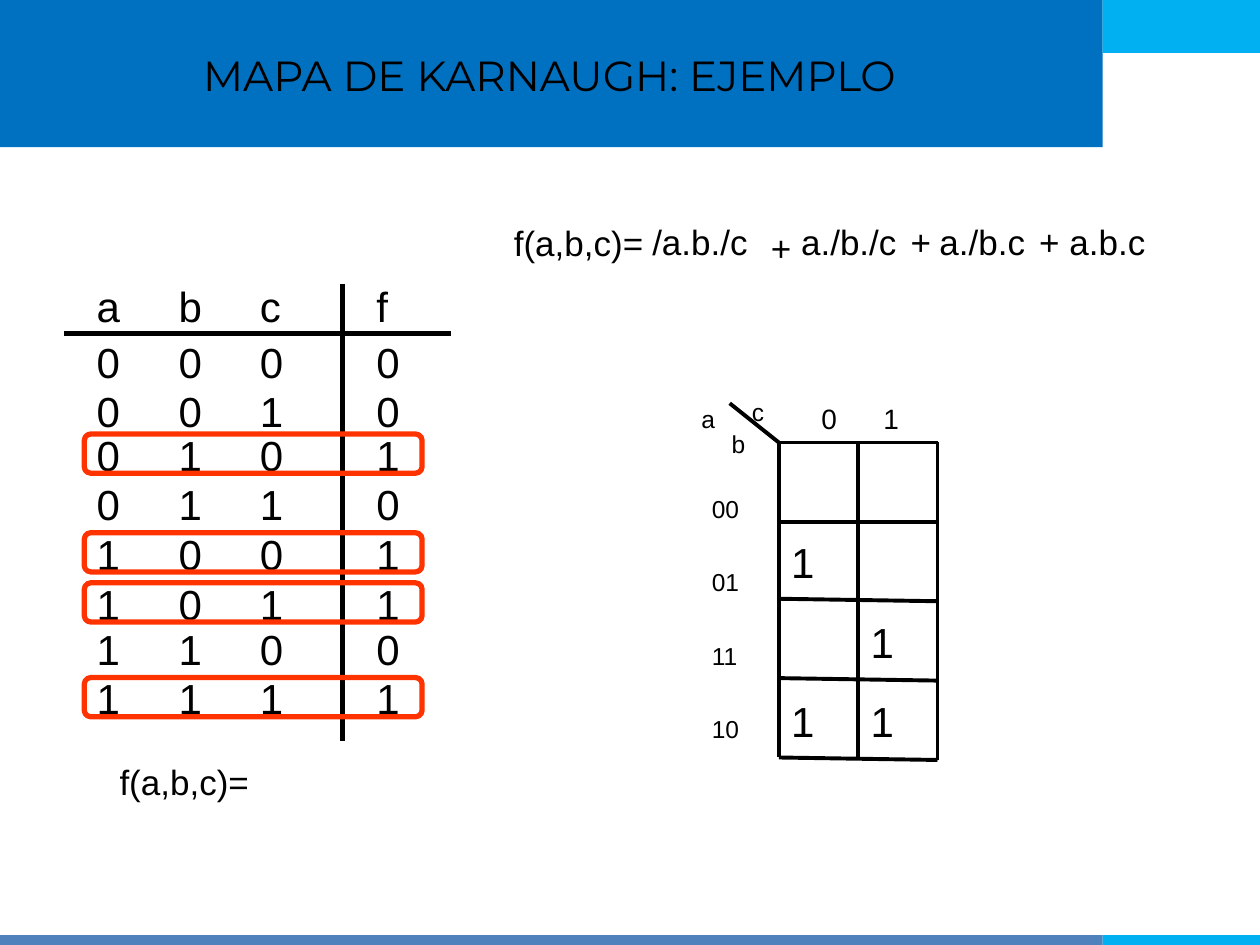
from dataclasses import dataclass

from lxml.etree import SubElement
from pptx import Presentation
from pptx.dml.color import RGBColor
from pptx.enum.shapes import MSO_CONNECTOR, MSO_SHAPE
from pptx.enum.text import MSO_ANCHOR, MSO_AUTO_SIZE, PP_ALIGN
from pptx.oxml.ns import qn
from pptx.util import Cm, Pt


@dataclass(frozen=True)
class Theme:
    text: str = "000000"
    line: str = "000000"
    frame: str = "FF3300"
    blue: str = "0070C0"
    cyan: str = "00B0F0"
    steel: str = "4F81BD"
    body_font: str = "Arial"
    title_font: str = "Montserrat"
    large: int = 24
    medium: int = 20
    heading: int = 16
    small: int = 14
    thick: float = 3
    thin: float = 2.25


THEME = Theme()

TITLE = "MAPA DE KARNAUGH: EJEMPLO"
BANDS = [
    (0, 0, 22.23, 2.97, THEME.blue),
    (22.23, 0, 3.17, 1.07, THEME.cyan),
    (0, 18.85, 22.23, 0.2, THEME.steel),
    (22.23, 18.85, 3.17, 0.2, THEME.cyan),
]
TRUTH_ROWS = [
    (5.54, "abcf"),
    (6.65, "0000"),
    (7.65, "0010"),
    (8.53, "0101"),
    (9.53, "0110"),
    (10.52, "1001"),
    (11.53, "1011"),
    (12.45, "1100"),
    (13.44, "1111"),
]
TRUTH_LEFT = 1.7
TRUTH_TABS = [1.65, 3.29, 5.64]
TRUTH_AXES = [(1.3, 6.73, 9.09, 6.73), (6.91, 5.72, 6.91, 14.94)]
FORMULAS = [
    ("f(a,b,c)=", 10.11, 4.34, 3.81),
    ("/a.b./c", 12.9, 4.32, 2.59),
    ("+", 15.29, 4.45, 0.99),
    ("a./b./c", 15.9, 4.32, 2.59),
    ("+", 18.11, 4.32, 0.99),
    ("a./b.c", 18.69, 4.32, 2.39),
    ("+", 20.7, 4.32, 0.99),
    ("a.b.c", 21.31, 4.32, 2.21),
    ("f(a,b,c)=", 2.16, 15.21, 3.81),
]
MAP_LEFT, MAP_TOP, MAP_CELL = 15.7, 8.92, 1.6
MAP_COLUMNS = ["0", "1"]
MAP_ROWS = ["00", "01", "11", "10"]
MAP_ONES = [(1, 0), (2, 1), (3, 0), (3, 1)]
MAP_TILT = 0.05
MAP_VARIABLES = [("c", 14.91, 7.87), ("a", 13.89, 8.03), ("b", 14.5, 8.53)]


def color(value):
    return RGBColor.from_string(value)


def add_run(paragraph, text, size, font):
    run = paragraph.add_run()
    run.text = text
    run.font.size = Pt(size)
    run.font.name = font
    run.font.color.rgb = color(THEME.text)


def add_text(slide, lines, left, top, width, height, size, tabs=(), spacing=None):
    box = slide.shapes.add_textbox(Cm(left), Cm(top), Cm(width), Cm(height))
    frame = box.text_frame
    frame.word_wrap = True
    frame.auto_size = MSO_AUTO_SIZE.SHAPE_TO_FIT_TEXT
    for index, line in enumerate(lines):
        paragraph = frame.add_paragraph() if index else frame.paragraphs[0]
        if tabs:
            tab_list = SubElement(paragraph._p.get_or_add_pPr(), qn("a:tabLst"))
            for position in tabs:
                SubElement(tab_list, qn("a:tab"), pos=str(int(Cm(position))), algn="l")
        if spacing:
            paragraph.line_spacing = spacing
        add_run(paragraph, line, size, THEME.body_font)


def add_line(slide, ends, weight):
    connector = slide.shapes.add_connector(MSO_CONNECTOR.STRAIGHT, *map(Cm, ends))
    connector.line.color.rgb = color(THEME.line)
    connector.line.width = Pt(weight)
    SubElement(connector._element.spPr, qn("a:effectLst"))


def add_header(slide):
    for left, top, width, height, fill in BANDS:
        band = slide.shapes.add_shape(
            MSO_SHAPE.RECTANGLE, Cm(left), Cm(top), Cm(width), Cm(height))
        band.shadow.inherit = False
        band.fill.solid()
        band.fill.fore_color.rgb = color(fill)
        band.line.fill.background()
    title = slide.shapes.title
    title.left, title.top, title.width, title.height = map(Cm, (0.28, 0.28, 21.59, 2.46))
    title.element.getparent().append(title.element)
    title.text_frame.vertical_anchor = MSO_ANCHOR.MIDDLE
    paragraph = title.text_frame.paragraphs[0]
    paragraph.alignment = PP_ALIGN.CENTER
    add_run(paragraph, TITLE, THEME.large, THEME.title_font)


def add_truth_table(slide):
    for ends in TRUTH_AXES:
        add_line(slide, ends, THEME.thick)
    for top, values in TRUTH_ROWS:
        add_text(slide, ["\t".join(values)], TRUTH_LEFT, top, 7.01, 1.27,
                 THEME.large, TRUTH_TABS)
        if values[-1] == "1":
            frame = slide.shapes.add_shape(
                MSO_SHAPE.ROUNDED_RECTANGLE,
                Cm(TRUTH_LEFT), Cm(top + 0.22), Cm(6.81), Cm(0.79))
            frame.shadow.inherit = False
            frame.fill.background()
            frame.line.color.rgb = color(THEME.frame)
            frame.line.width = Pt(THEME.thick)


def add_karnaugh_map(slide):
    right = MAP_LEFT + len(MAP_COLUMNS) * MAP_CELL
    bottom = MAP_TOP + len(MAP_ROWS) * MAP_CELL
    for row in range(len(MAP_ROWS) + 1):
        y = MAP_TOP + row * MAP_CELL
        tilt = MAP_TILT if row > 1 else 0
        add_line(slide, (right, y, MAP_LEFT, y - tilt), THEME.thin)
    for column in range(len(MAP_COLUMNS) + 1):
        x = MAP_LEFT + column * MAP_CELL
        end = bottom if column else bottom - MAP_TILT
        add_line(slide, (x, MAP_TOP, x, end), THEME.thin)
    add_line(slide, (14.71, 8.13, MAP_LEFT, MAP_TOP), THEME.thin)
    for name, left, top in MAP_VARIABLES:
        add_text(slide, [name], left, top, 1.19, 0.86, THEME.small)
    add_text(slide, MAP_ROWS, 14.1, 8.94, 1.4, 5.97, THEME.small, spacing=2.5)
    add_text(slide, ["\t".join(MAP_COLUMNS)], 16.31, 7.98, 2.39, 0.94,
             THEME.heading, [1.25])
    for row, column in MAP_ONES:
        add_text(slide, ["1"], MAP_LEFT + column * MAP_CELL,
                 MAP_TOP + row * MAP_CELL + 0.18, 1.4, 1.27, THEME.large)


def main():
    presentation = Presentation()
    presentation.slide_width, presentation.slide_height = Cm(25.4), Cm(19.05)
    slide = presentation.slides.add_slide(presentation.slide_layouts[5])
    add_header(slide)
    add_truth_table(slide)
    for text, left, top, width in FORMULAS:
        add_text(slide, [text], left, top, width, 1.12, THEME.medium)
    add_karnaugh_map(slide)
    presentation.save("out.pptx")


if __name__ == "__main__":
    main()
